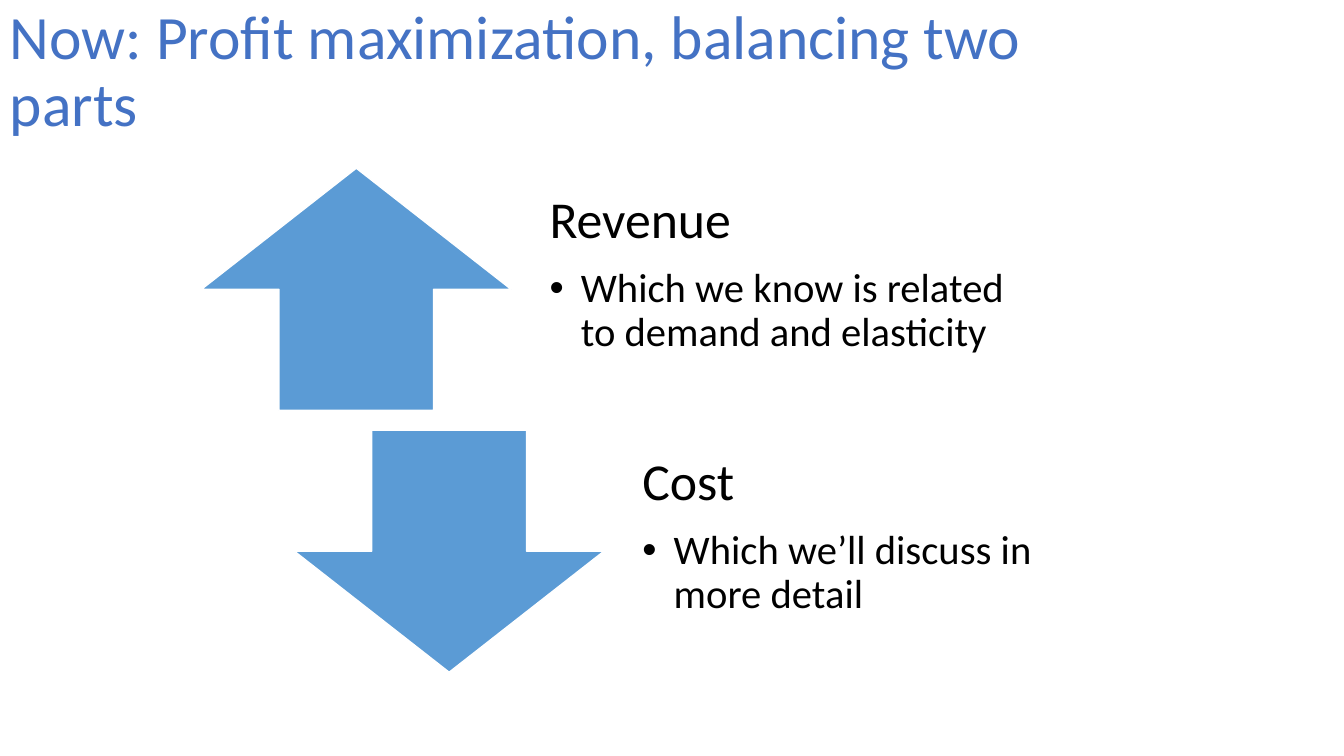
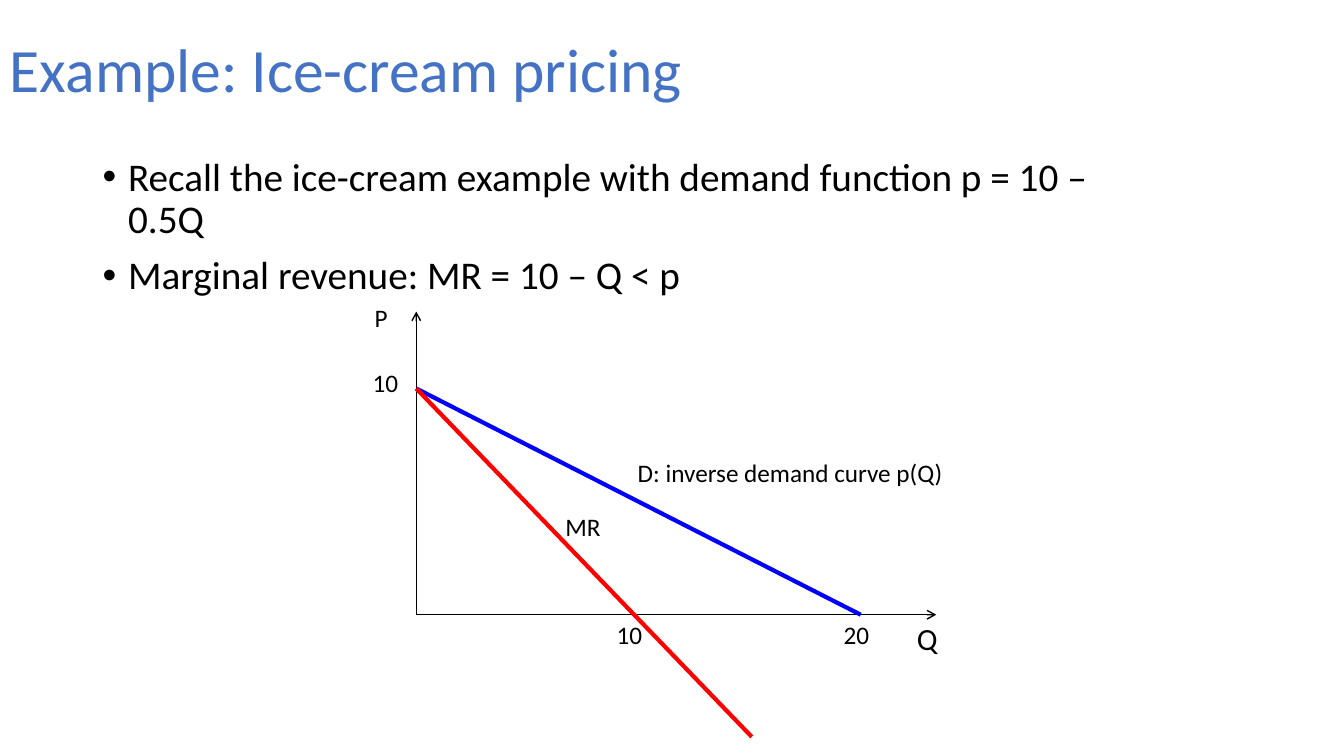
import pptx
import pptx.util
import pptx.dml.color
import pptx.enum.shapes
import pptx.enum.text
import pptx.oxml.ns
from lxml import etree

Cm, Pt = pptx.util.Cm, pptx.util.Pt
SHAPE = pptx.enum.shapes.MSO_SHAPE
ANCHOR = pptx.enum.text.MSO_ANCHOR
FONT = "Calibri"
COLORS = {
    "title": "4472C4",
    "text": "000000",
    "arrow": "5B9BD5",
    "edge": "FFFFFF",
    "axis": "000000",
    "demand": "0000FF",
    "margin": "FF0000",
}
# Graph origin and the length of one unit on each axis, in cm
LEFT, BASE = 10.49, 15.49
UNIT_Q, UNIT_P = 0.56, 0.57


def color(name):
    return pptx.dml.color.RGBColor.from_string(COLORS[name])


def add(parent, tag, **attrs):
    return etree.SubElement(parent, pptx.oxml.ns.qn(tag), **attrs)


def add_box(slide, x, y, w, h, anchor=ANCHOR.TOP, wrap=True):
    """Add a text box and return its empty frame."""
    frame = slide.shapes.add_textbox(Cm(x), Cm(y), Cm(w), Cm(h)).text_frame
    frame.word_wrap = wrap
    frame.vertical_anchor = anchor
    return frame


def add_text(frame, text, size, tint="text", indent=0, before=0, after=0,
             spacing=0.9):
    """Fill the next paragraph; an indent in cm gives it a bullet."""
    first = frame.paragraphs[0]
    para = frame.add_paragraph() if first.runs else first
    para.add_run().text = text
    if indent:
        props = para._p.get_or_add_pPr()
        props.set("marL", str(Cm(indent)))
        props.set("indent", str(-Cm(indent)))
        add(props, "a:buFont", typeface="Arial")
        add(props, "a:buChar", char="•")
    para.line_spacing = spacing
    para.space_before, para.space_after = Pt(before), Pt(after)
    para.font.name = FONT
    para.font.size = Pt(size)
    para.font.color.rgb = color(tint)


def add_slide(deck, title):
    slide = deck.slides.add_slide(deck.slide_layouts[6])
    frame = add_box(slide, 0, 0, 29.21, 3.68, ANCHOR.MIDDLE)
    add_text(frame, title, 44, "title")
    return slide


def add_part(slide, x, y, kind, head, point):
    """Add a block arrow with a heading and a bullet to its right."""
    arrow = slide.shapes.add_shape(kind, Cm(x), Cm(y), Cm(7.8), Cm(6.1))
    arrow.shadow.inherit = False
    arrow.fill.solid()
    arrow.fill.fore_color.rgb = color("arrow")
    arrow.line.color.rgb = color("edge")
    arrow.line.width = Pt(1)

    frame = add_box(slide, x + 8.03, y, 13.23, 6.1, ANCHOR.MIDDLE)
    frame.margin_top = 0
    frame.margin_left = frame.margin_right = frame.margin_bottom = Cm(0.74)
    add_text(frame, head, 37, after=13)
    add_text(frame, point, 29, indent=0.79)


def add_line(slide, start, end, tint, width, arrow=False):
    """Draw a line between two (quantity, price) points."""
    ends = [Cm(v) for q, p in (start, end)
            for v in (LEFT + q * UNIT_Q, BASE - p * UNIT_P)]
    line = slide.shapes.add_connector(
        pptx.enum.shapes.MSO_CONNECTOR.STRAIGHT, *ends)
    line.line.color.rgb = color(tint)
    line.line.width = Pt(width)
    if arrow:
        add(line.line._get_or_add_ln(), "a:tailEnd", type="arrow")
    add(line._element.spPr, "a:effectLst")


def add_label(slide, text, x, y, w, size=18):
    frame = add_box(slide, x, y, w, 1.02, wrap=False)
    add_text(frame, text, size, spacing=1.0)


def build_parts(deck):
    slide = add_slide(deck, "Now: Profit maximization, balancing two parts")
    parts = [
        (SHAPE.UP_ARROW, "Revenue",
         "Which we know is related to demand and elasticity"),
        (SHAPE.DOWN_ARROW, "Cost", "Which we’ll discuss in more detail"),
    ]
    for i, part in enumerate(parts):
        add_part(slide, 5.08 + 2.34 * i, 4.24 + 6.6 * i, *part)


def build_graph(deck):
    slide = add_slide(deck, "Example: Ice-cream pricing")
    frame = add_box(slide, 2.34, 3.84, 26.01, 3.99)
    add_text(frame, "Recall the ice-cream example with demand function "
             "p = 10 – 0.5Q", 28, indent=0.64)
    add_text(frame, "Marginal revenue: MR = 10 – Q < p", 28,
             indent=0.64, before=10)

    add_line(slide, (0, 0), (23.4, 0), "axis", 1, arrow=True)
    add_line(slide, (0, 0), (0, 13.4), "axis", 1, arrow=True)
    add_line(slide, (0, 10), (20, 0), "demand", 3)
    add_line(slide, (0, 10), (15.1, -5.4), "margin", 3)

    add_label(slide, "P", 9.19, 7.49, 1.27)
    add_label(slide, "Q", 22.86, BASE, 1.27, size=22)
    add_label(slide, "10", 9.14, 9.14, 1.4)
    add_label(slide, "10", 15.29, BASE, 1.4)
    add_label(slide, "20", 21.01, BASE, 1.4)
    add_label(slide, "D: inverse demand curve p(Q)", 15.82, 11.4, 8.33)
    add_label(slide, "MR", 14, 12.75, 1.45)


def main():
    deck = pptx.Presentation()
    deck.slide_width, deck.slide_height = Cm(33.87), Cm(19.05)
    build_parts(deck)
    build_graph(deck)
    deck.save("out.pptx")


if __name__ == "__main__":
    main()
